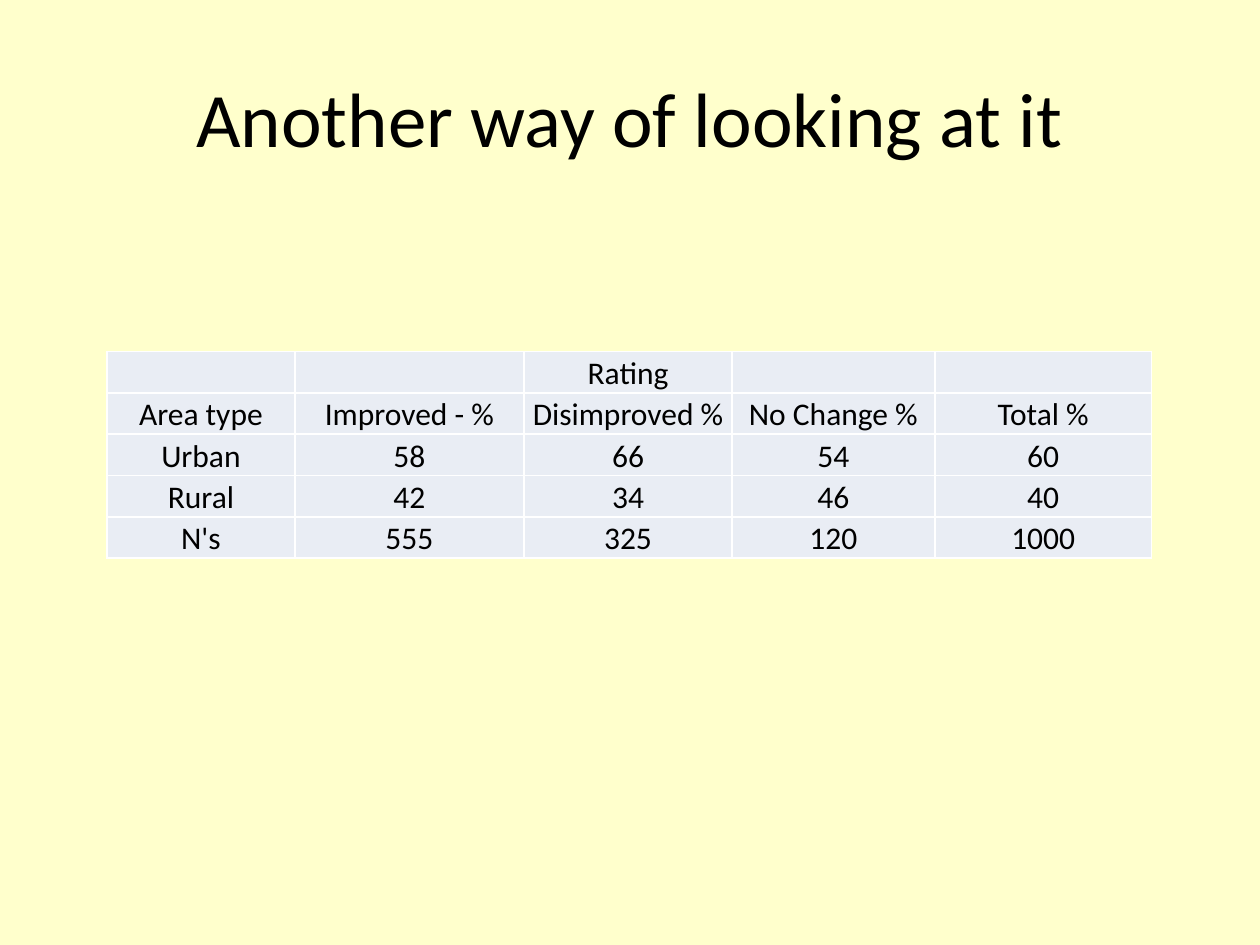
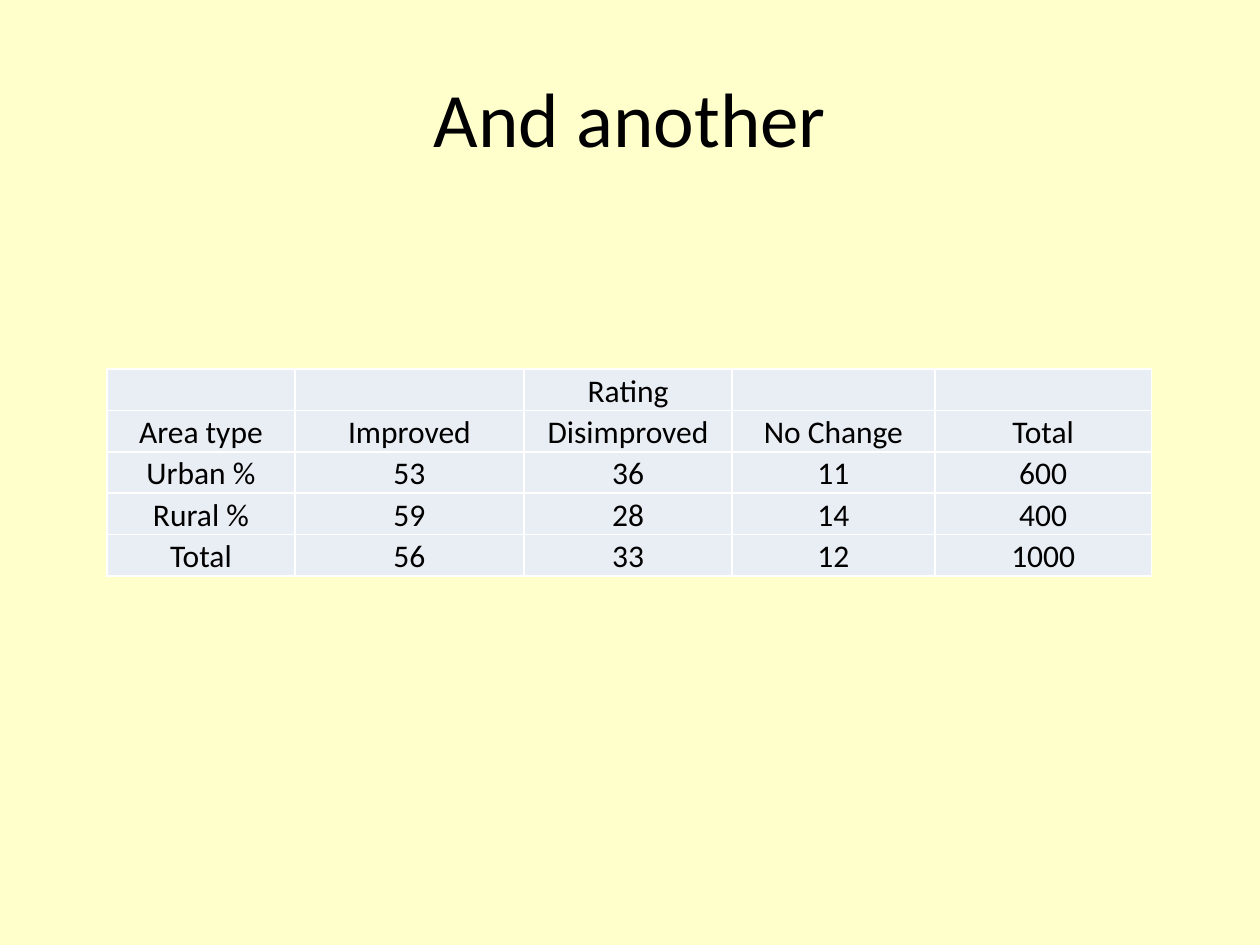
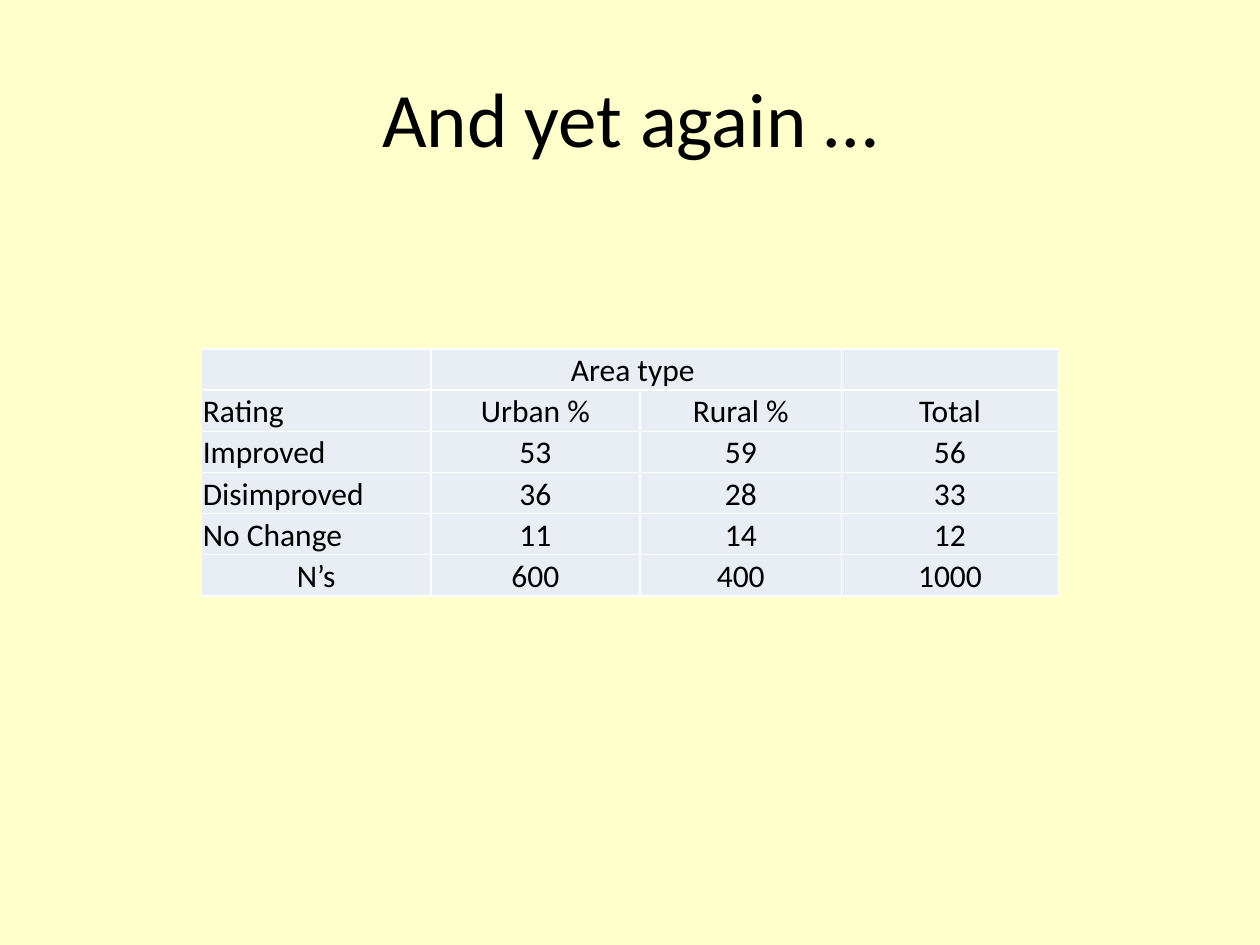
from dataclasses import dataclass

from lxml.etree import SubElement
from pptx import Presentation
from pptx.dml.color import RGBColor
from pptx.enum.text import MSO_ANCHOR, PP_ALIGN
from pptx.oxml.ns import qn
from pptx.presentation import Presentation as Deck
from pptx.slide import Slide
from pptx.table import _Cell
from pptx.text.text import TextFrame
from pptx.util import Inches, Pt

COLORS = {"background": "FFFFCC", "cell": "E9EDF4", "border": "FFFFFF", "text": "000000"}
FONT = "Calibri"
BORDER_WIDTH = Pt(1)
CELL_INSET = Inches(0.01)
RATING_COLUMNS = (1.49, 1.82, 1.65, 1.61, 1.72)
AREA_COLUMNS = (1.82, 1.66, 1.6, 1.72)


@dataclass(frozen=True)
class TableSlide:
    """Lengths are in inches; left_rows have a left-aligned first cell."""

    title: str
    left: float
    top: float
    height: float
    column_widths: tuple[float, ...]
    rows: tuple[tuple[str, ...], ...]
    heading_span: tuple[int, int] | None = None
    left_rows: tuple[int, ...] = ()


TABLE_SLIDES = (
    TableSlide(
        "Another way of looking at it", 0.85, 2.79, 1.64, RATING_COLUMNS,
        (
            ("", "", "Rating", "", ""),
            ("Area type", "Improved - %", "Disimproved %", "No Change %", "Total %"),
            ("Urban", "58", "66", "54", "60"),
            ("Rural", "42", "34", "46", "40"),
            ("N's", "555", "325", "120", "1000"),
        ),
    ),
    TableSlide(
        "And another", 0.85, 2.93, 1.64, RATING_COLUMNS,
        (
            ("", "", "Rating", "", ""),
            ("Area type", "Improved", "Disimproved", "No Change", "Total"),
            ("Urban %", "53", "36", "11", "600"),
            ("Rural %", "59", "28", "14", "400"),
            ("Total", "56", "33", "12", "1000"),
        ),
    ),
    TableSlide(
        "And yet again …", 1.6, 2.77, 1.96, AREA_COLUMNS,
        (
            ("", "Area type ", "", ""),
            ("Rating", "Urban %", "Rural %", "Total"),
            ("Improved", "53", "59", "56"),
            ("Disimproved", "36", "28", "33"),
            ("No Change", "11", "14", "12"),
            ("N’s", "600", "400", "1000"),
        ),
        heading_span=(1, 2),
        left_rows=(1, 2, 3, 4),
    ),
)


def write_text(frame: TextFrame, text: str, *, size: int,
               align: PP_ALIGN = PP_ALIGN.CENTER) -> None:
    paragraph = frame.paragraphs[0]
    paragraph.alignment = align
    run = paragraph.add_run()
    run.text = text
    run.font.name = FONT
    run.font.size = Pt(size)
    run.font.color.rgb = RGBColor.from_string(COLORS["text"])


def add_title(slide: Slide, text: str) -> None:
    title = slide.shapes.title
    title.left, title.top = Inches(0.5), Inches(0.3)
    title.width, title.height = Inches(9), Inches(1.25)
    title.text_frame.vertical_anchor = MSO_ANCHOR.MIDDLE
    write_text(title.text_frame, text, size=44)


def add_borders(cell: _Cell) -> None:
    properties = cell._tc.get_or_add_tcPr()
    for side in ("lnL", "lnR", "lnT", "lnB"):
        line = SubElement(properties, qn(f"a:{side}"), w=str(BORDER_WIDTH))
        fill = SubElement(line, qn("a:solidFill"))
        SubElement(fill, qn("a:srgbClr"), val=COLORS["border"])


def format_cell(cell: _Cell) -> None:
    add_borders(cell)
    cell.fill.solid()
    cell.fill.fore_color.rgb = RGBColor.from_string(COLORS["cell"])
    cell.vertical_anchor = MSO_ANCHOR.BOTTOM
    cell.margin_left = cell.margin_right = cell.margin_top = CELL_INSET
    cell.margin_bottom = 0


def add_data_table(slide: Slide, content: TableSlide) -> None:
    row_count, column_count = len(content.rows), len(content.column_widths)
    table = slide.shapes.add_table(
        row_count, column_count, Inches(content.left), Inches(content.top),
        Inches(sum(content.column_widths)), Inches(content.height),
    ).table
    table.first_row = table.horz_banding = False
    for column, width in zip(table.columns, content.column_widths):
        column.width = Inches(width)

    for row_index, row in enumerate(content.rows):
        for column_index, text in enumerate(row):
            cell = table.cell(row_index, column_index)
            format_cell(cell)
            if text:
                is_left = column_index == 0 and row_index in content.left_rows
                align = PP_ALIGN.LEFT if is_left else PP_ALIGN.CENTER
                write_text(cell.text_frame, text, size=18, align=align)

    if content.heading_span:
        first, last = content.heading_span
        table.cell(0, first).merge(table.cell(0, last))


def add_table_slide(presentation: Deck, content: TableSlide) -> None:
    slide = presentation.slides.add_slide(presentation.slide_layouts.get_by_name("Title Only"))
    add_title(slide, content.title)
    add_data_table(slide, content)


def main() -> None:
    presentation = Presentation()
    presentation.slide_width, presentation.slide_height = Inches(10), Inches(7.5)
    background = presentation.slide_master.background.fill
    background.solid()
    background.fore_color.rgb = RGBColor.from_string(COLORS["background"])
    for content in TABLE_SLIDES:
        add_table_slide(presentation, content)
    presentation.save("out.pptx")


if __name__ == "__main__":
    main()
